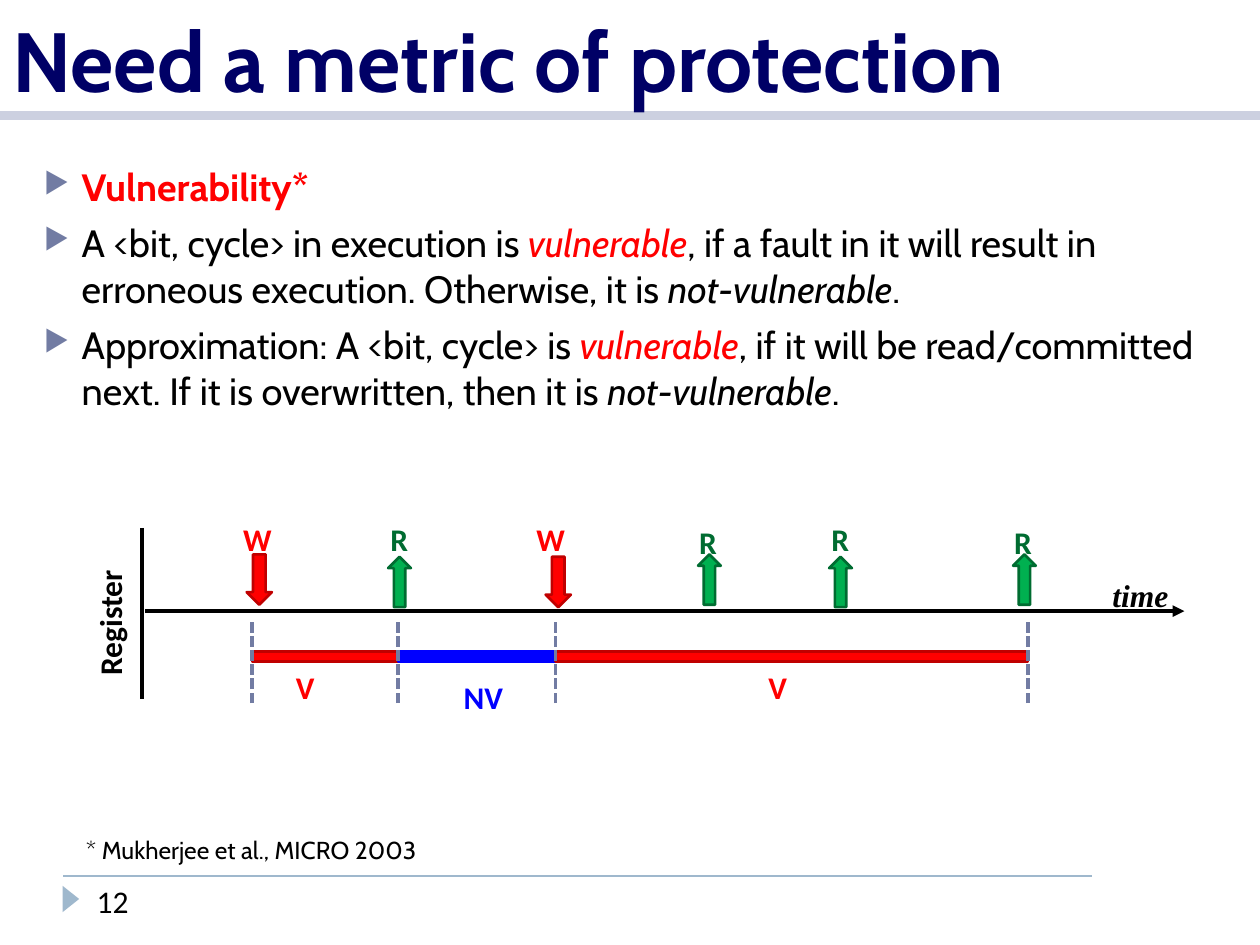
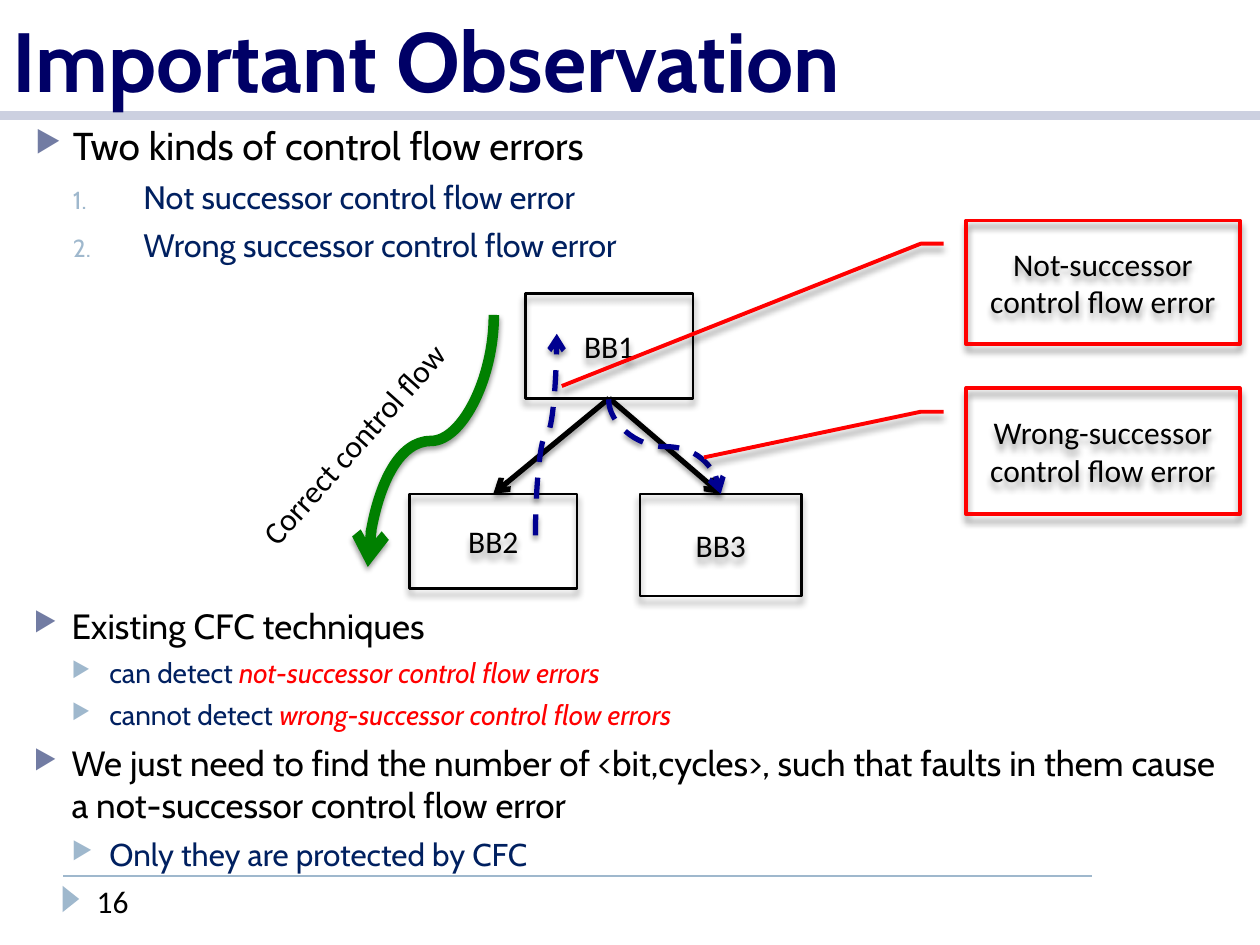
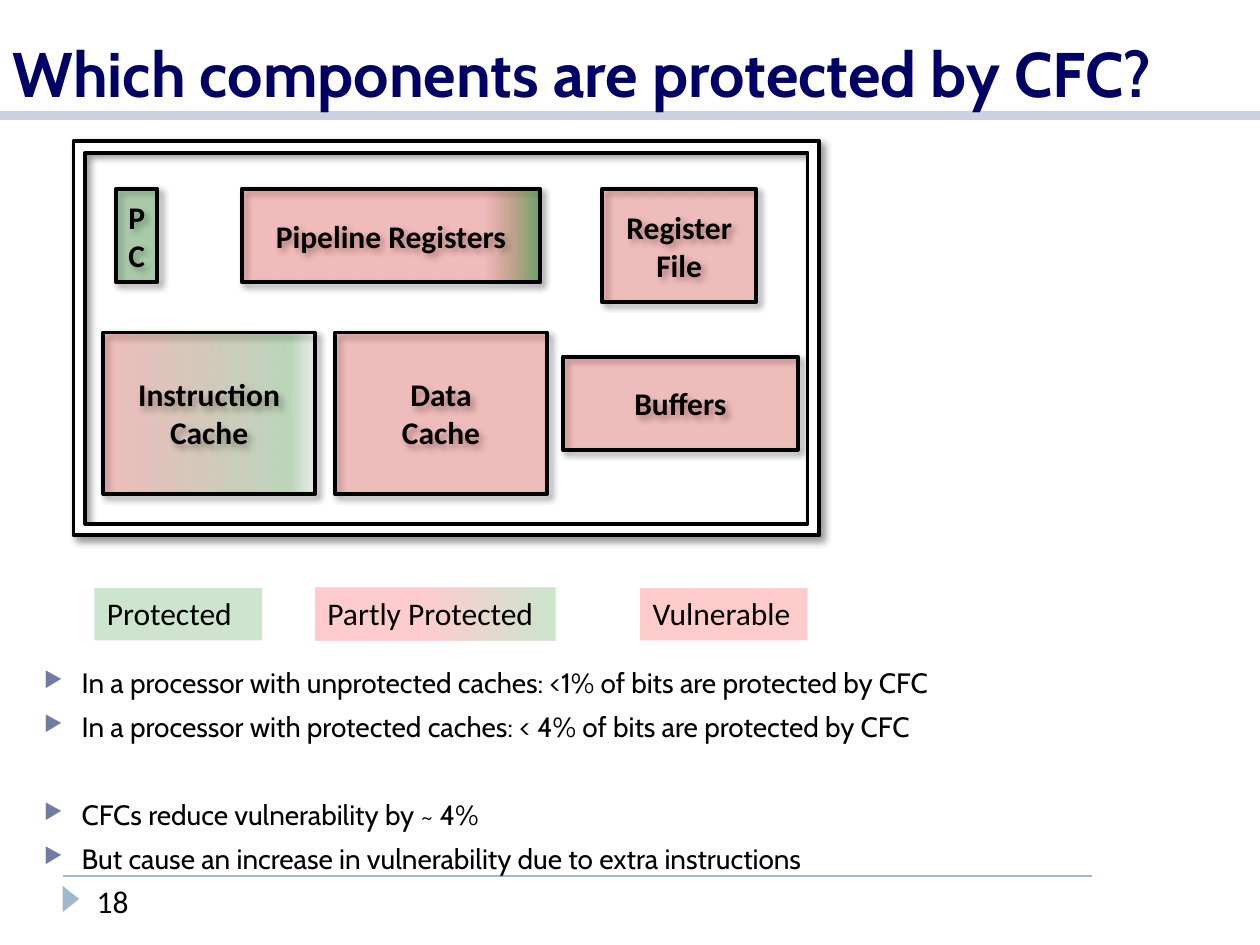
import lxml.etree
import pptx
import pptx.dml.color
import pptx.enum.dml
import pptx.enum.shapes
import pptx.enum.text
import pptx.oxml.ns
import pptx.util

Pt = pptx.util.Pt
qn = pptx.oxml.ns.qn
SHAPE = pptx.enum.shapes.MSO_SHAPE
LINK = pptx.enum.shapes.MSO_CONNECTOR
DASH = pptx.enum.dml.MSO_LINE
ALIGN = pptx.enum.text.PP_ALIGN
ANCHOR = pptx.enum.text.MSO_ANCHOR

BLACK, WHITE, RED, GREEN = "000000", "FFFFFF", "FF0000", "008000"
NAVY, INK, BLUE, STEEL, SKY, BAND = "000066", "002060", "0000FF", "727CA3", "9FB8CD", "CCD0E0"
LEAF, PINE, WINE, DASHED = "00B050", "006C31", "C00000", "000090"
HEAD, BODY = "Cabin", "Calibri"

# shadows: blur, distance, angle
BOX_SHADE, LINE_SHADE, CHIP_SHADE = (4, 3.4, 90), (3, 2, 90), (4, 3, 45)

# list levels: left, hanging, space before, bullet, bullet colour, text colour
LEVELS = {
    "main": (21.6, 21.6, 6, "▶", STEEL, BLACK),
    "late": (21.6, 21.6, 31, "▶", STEEL, BLACK),
    "sub": (43.2, 21.6, 5, "▶", SKY, INK),
    "num": (61.9, 40.3, 5, None, SKY, INK),
}
# run marks: colour, bold, italic
MARKS = {"strong": (RED, True, None), "red": (RED, None, True), "slant": (None, None, True)}

METRIC = [
    ("main", 21.7, ("Vulnerability*", "strong")),
    ("main", 21.7, "A <bit, cycle> in execution is ", ("vulnerable", "red"),
     ", if a fault in it will result in erroneous execution. Otherwise, it is ",
     ("not-vulnerable", "slant"), "."),
    ("main", 21.7, "Approximation: A <bit, cycle> is ", ("vulnerable", "red"),
     ", if it will be read/committed next. If it is overwritten, then it is ",
     ("not-vulnerable", "slant"), "."),
]
# access kinds: arrow shape, arrow width, fill, line, text colour, label width
KINDS = {
    "W": (SHAPE.DOWN_ARROW, 14.4, RED, WINE, RED, 31.7),
    "R": (SHAPE.UP_ARROW, 13, LEAF, PINE, PINE, 28),
}
# accesses: kind, arrow left and top, label left and top
EVENTS = [
    ("W", 141, 316.8, 131.8, 293.8), ("R", 221.8, 318.2, 216, 293.8),
    ("W", 311.8, 318.2, 299.5, 293.8), ("R", 398.9, 316.8, 392.4, 295.2),
    ("R", 473.8, 318.2, 468, 293.8), ("R", 578.9, 316.8, 572.4, 295.2),
]
MARKERS = [144, 227.5, 317.5, 587.5]
# spans between markers: name, fill, line, label left and top
SPANS = [("V", RED, WINE, 162, 378), ("NV", BLUE, BLUE, 257.8, 383.8), ("V", RED, WINE, 432, 378)]

ERRORS = [
    ("main", 22.2, "Two kinds of control flow errors"),
    ("num", 18.5, "Not successor control flow error"),
    ("num", 18.5, "Wrong successor control flow error"),
]
DETECT = [
    ("main", 20, "Existing CFC techniques"),
    ("sub", 16, "can detect ", ("not-successor control flow errors", "red")),
    ("sub", 16, "cannot detect ", ("wrong-successor control flow errors", "red")),
    ("main", 20, "We just need to find the number of <bit,cycles>, such that faults in them "
                 "cause a not-successor control flow error"),
    ("sub", 18, "Only they are protected by CFC"),
]
BLOCKS = [
    ("BB1", (300.2, 167.8, 95.8, 59.8)),
    ("BB2", (234, 282.2, 95.8, 54)),
    ("BB3", (365.8, 282.2, 92.2, 58.3)),
]
# curves: start, end, colour, width, dash
CURVES = [
    ((282.2, 180), (210.2, 324), GREEN, 6, None),
    ((306, 306), (318.2, 190.8), DASHED, 3, DASH.DASH),
    ((347.8, 228.2), (411.8, 282.2), DASHED, 3, DASH.DASH),
]
# callouts: text, place, pointer tip (down, across)
CALLS = [
    ("Wrong-successor control flow error", (552.2, 221.8, 156.2, 72), (0.55, -0.96)),
    ("Not-successor control flow error", (552.2, 126, 156.2, 70.6), (1.34, -1.48)),
]

# fills are lists of stops: position, colour, opacity
WEAK = [(0, RED, 20)]
PARTS = [
    ("Pipeline Registers", (138.2, 108, 170.6, 53.3), [(81, RED, 20), (100, GREEN, 50)]),
    ("Buffers", (321.8, 203.8, 134, 53.3), WEAK),
    ("Register File", (344.2, 108, 87.8, 64.8), WEAK),
    ("Data\nCache", (191.5, 190, 121, 92.2), WEAK),
    ("PC", (66.2, 108, 23.8, 53.3), [(0, GREEN, 26)]),
    ("Instruction Cache", (59, 190, 121, 92.2),
     [(0, RED, 20), (88, GREEN, 20), (100, WHITE, 20)]),
]
LEGEND = [
    ("Protected", 54, 95.8, [(0, GREEN, 20)]),
    ("Vulnerable", 365.8, 95.8, WEAK),
    ("Partly Protected", 180, 138.2, [(45, RED, 20), (99, GREEN, 20), (100, WHITE, 20)]),
]
RESULTS = [
    ("main", 16, "In a processor with unprotected caches: <1% of bits are protected by CFC"),
    ("main", 16, "In a processor with protected caches: < 4% of bits are protected by CFC"),
    ("late", 16, "CFCs reduce vulnerability by ~ 4%"),
    ("main", 16, "But cause an increase in vulnerability due to extra instructions"),
]


def tint(text):
    return pptx.dml.color.RGBColor.from_string(text)


def node(parent, tag, **attrs):
    return lxml.etree.SubElement(parent, qn(tag), {k: str(v) for k, v in attrs.items()})


def blend(parent, colour, alpha):
    node(node(parent, "a:srgbClr", val=colour), "a:alpha", val=alpha * 1000)


def shade(item, cast):
    """Replace the theme shadow by the given one, or by none."""
    effects = node(item.element.spPr, "a:effectLst")
    if cast:
        blur, dist, angle = cast
        outer = node(effects, "a:outerShdw", blurRad=Pt(blur), dist=Pt(dist),
                     dir=angle * 60000, rotWithShape=0)
        blend(outer, BLACK, 40)


def stroke(line, colour, width):
    line.color.rgb = tint(colour)
    line.width = Pt(width)


def paint(fill, shape, stops):
    """Fill with one translucent colour or a left-to-right gradient."""
    if len(stops) == 1:
        fill.solid()
        fill.fore_color.rgb = tint(stops[0][1])
        if stops[0][2] < 100:
            hue = shape.element.spPr.find(qn("a:solidFill"))[0]
            node(hue, "a:alpha", val=stops[0][2] * 1000)
        return
    fill.gradient()
    fill.gradient_angle = 0
    ramp = shape.element.spPr.find(qn("a:gradFill")).find(qn("a:gsLst"))
    for old in list(ramp):
        ramp.remove(old)
    for pos, colour, alpha in stops:
        blend(node(ramp, "a:gs", pos=pos * 1000), colour, alpha)


def form(slide, kind, place, stops=None, line=None, cast=None):
    shape = slide.shapes.add_shape(kind, *map(Pt, place))
    if stops:
        paint(shape.fill, shape, stops)
    else:
        shape.fill.background()
    if line:
        stroke(shape.line, *line)
    else:
        shape.line.fill.background()
    shade(shape, cast)
    return shape


def link(slide, start, end, colour, width, head=None, dash=None, cast=None, kind=LINK.STRAIGHT):
    line = slide.shapes.add_connector(kind, *map(Pt, (*start, *end)))
    stroke(line.line, colour, width)
    if dash:
        line.line.dash_style = dash
    if head:
        node(line.element.spPr.find(qn("a:ln")), "a:tailEnd", type=head)
    shade(line, cast)
    return line


def curve(slide, start, end, colour, width, dash):
    """Draw an S-curve that leaves and arrives vertically."""
    (x1, y1), (x2, y2) = start, end
    mx, my, dx, dy = (x1 + x2) / 2, (y1 + y2) / 2, (x2 - x1) / 2, (y2 - y1) / 2
    line = link(slide, (mx - dy, my + dx), (mx + dy, my - dx), colour, width,
                "arrow", dash, LINE_SHADE, LINK.CURVE)
    line.element.spPr.find(qn("a:xfrm")).set("rot", str(90 * 60000))


def style(font, name, size, colour, bold=False, italic=False):
    font.name, font.size, font.bold, font.italic = name, Pt(size), bold, italic
    font.color.rgb = tint(colour)


def write(shape, text, colour=BLACK, size=18, name=BODY, bold=False, italic=False,
          align=ALIGN.LEFT, anchor=ANCHOR.TOP, wrap=True):
    frame = shape.text_frame
    frame.word_wrap, frame.vertical_anchor = wrap, anchor
    frame.text = text
    for para in frame.paragraphs:
        para.alignment = align
        style(para.font, name, size, colour, bold, italic)
    return shape


def label(slide, place, text, *args, **looks):
    return write(slide.shapes.add_textbox(*map(Pt, place)), text, *args, **looks)


def centre(shape, text, bold=False):
    write(shape, text, bold=bold, align=ALIGN.CENTER, anchor=ANCHOR.MIDDLE)


def outline(slide, place, items):
    """Write a bulleted or numbered list."""
    frame = slide.shapes.add_textbox(*map(Pt, place)).text_frame
    frame.word_wrap = True
    for index, (level, size, *runs) in enumerate(items):
        left, hang, gap, mark, hue, colour = LEVELS[level]
        para = frame.add_paragraph() if index else frame.paragraphs[0]
        props = para._p.get_or_add_pPr()
        props.set("marL", str(Pt(left)))
        props.set("indent", str(-Pt(hang)))
        node(node(props, "a:buClr"), "a:srgbClr", val=hue)
        node(props, "a:buSzPct", val=76000)
        if mark:
            node(props, "a:buChar", char=mark)
        else:
            node(props, "a:buAutoNum", type="arabicPeriod")
        if index:
            para.space_before = Pt(gap)
        style(para.font, HEAD, size, colour)
        for piece in runs:
            text, key = (piece, None) if isinstance(piece, str) else piece
            run = para.add_run()
            run.text = text
            if key:
                colour, run.font.bold, run.font.italic = MARKS[key]
                if colour:
                    run.font.color.rgb = tint(colour)


def base(deck, title, number, size=48):
    """Add a slide with the shared band, title and footer."""
    slide = deck.slides.add_slide(deck.slide_layouts[6])
    link(slide, (36, 500.4), (624.2, 500.4), SKY, 1)
    link(slide, (0, 66.2), (720, 66.2), BAND, 5)
    form(slide, SHAPE.ISOSCELES_TRIANGLE, (33, 509, 15, 9.4), [(0, SKY, 100)]).rotation = 90
    label(slide, (0, 0, 720, 66.2), title, NAVY, size, HEAD, bold=True, anchor=ANCHOR.BOTTOM)
    label(slide, (48.2, 500.4, 101.5, 28.8), number)
    return slide


def metric(deck):
    slide = base(deck, "Need a metric of protection", "12")
    outline(slide, (18, 90, 684, 150), METRIC)
    link(slide, (81.4, 301.7), (81.4, 399.6), BLACK, 2.25)
    link(slide, (82.8, 349.2), (676.8, 349.2), BLACK, 2.25, "triangle")
    label(slide, (628.6, 325.4, 47.5, 26.6), "time", name="Times New Roman",
          bold=True, italic=True, wrap=False)
    label(slide, (20.2, 336.2, 85, 28.8), "Register", bold=True, wrap=False).rotation = 270
    for kind, x, y, left, top in EVENTS:
        arrow, width, fill, edge, colour, room = KINDS[kind]
        form(slide, arrow, (x, y, width, 28.8), [(0, fill, 100)], (edge, 1.5))
        label(slide, (left, top, room, 26.6), kind, colour, bold=True, wrap=False)
    for (name, fill, edge, x, y), start, end in zip(SPANS, MARKERS, MARKERS[1:]):
        form(slide, SHAPE.RECTANGLE, (start, 372.2, end - start, 5.8), [(0, fill, 100)], (edge, 1.5))
        label(slide, (x, y, 48, 28.8), name, fill, bold=True)
    for x in MARKERS:
        link(slide, (x, 401.8), (x, 354.2), STEEL, 2, dash=DASH.SQUARE_DOT)
    label(slide, (42, 473.8, 468, 24.5), "* Mukherjee et al., MICRO 2003", size=14, name=HEAD)


def errors(deck):
    slide = base(deck, "Important Observation", "16")
    outline(slide, (13, 66.2, 689, 84.2), ERRORS)
    blocks = []
    for name, place in BLOCKS:
        block = form(slide, SHAPE.RECTANGLE, place, line=(BLACK, 1.5), cast=BOX_SHADE)
        centre(block, name)
        blocks.append(block)
    first, *nexts = blocks
    for block in nexts:
        line = link(slide, (0, 0), (1, 1), BLACK, 3, "arrow", cast=LINE_SHADE)
        line.begin_connect(first, 2)
        line.end_connect(block, 0)
    for bend in CURVES:
        curve(slide, *bend)
    label(slide, (119.5, 234, 174.2, 28.8), "Correct control flow").rotation = 311.8
    for text, place, tip in CALLS:
        call = form(slide, SHAPE.LINE_CALLOUT_2, place, line=(RED, 2.25), cast=BOX_SHADE)
        call.adjustments[4], call.adjustments[5] = tip
        centre(call, text)
    outline(slide, (12.2, 342, 689.8, 156.2), DETECT)


def parts(deck):
    slide = base(deck, "Which components are protected by CFC?", "18", 36)
    edge = (BLACK, 2.25)
    chip = form(slide, SHAPE.FRAME, (42, 80.6, 426.2, 225.4), [(0, WHITE, 100)], edge, CHIP_SHADE)
    chip.adjustments[0] = 0.03
    for name, place, stops in PARTS:
        centre(form(slide, SHAPE.RECTANGLE, place, stops, edge, CHIP_SHADE), name, True)
    for name, x, width, stops in LEGEND:
        write(form(slide, SHAPE.RECTANGLE, (x, 336, width, 30), stops), name)
    outline(slide, (18, 376.6, 594, 133.2), RESULTS)


def main():
    deck = pptx.Presentation()
    deck.slide_width, deck.slide_height = Pt(720), Pt(540)
    metric(deck)
    errors(deck)
    parts(deck)
    deck.save("out.pptx")


if __name__ == "__main__":
    main()
